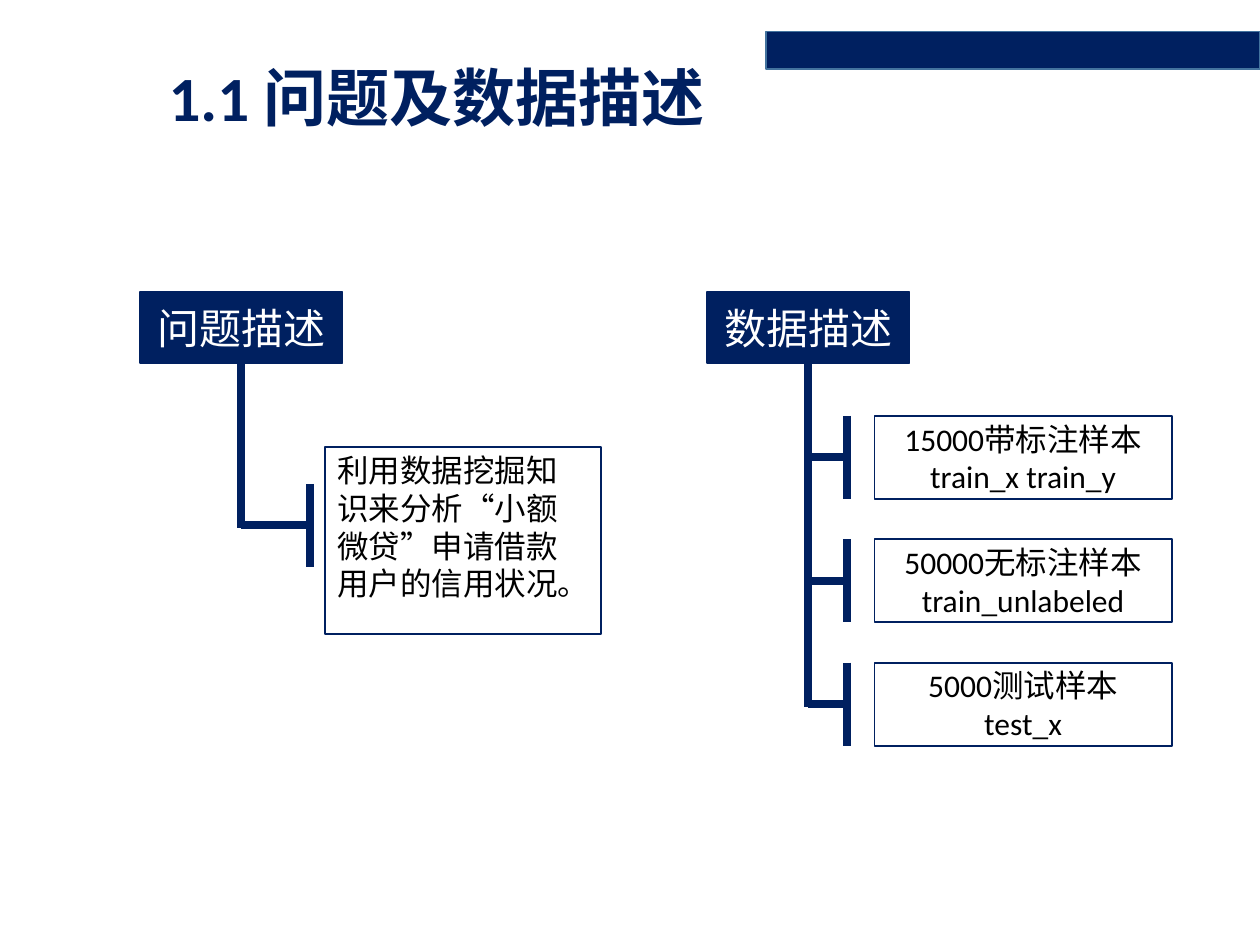
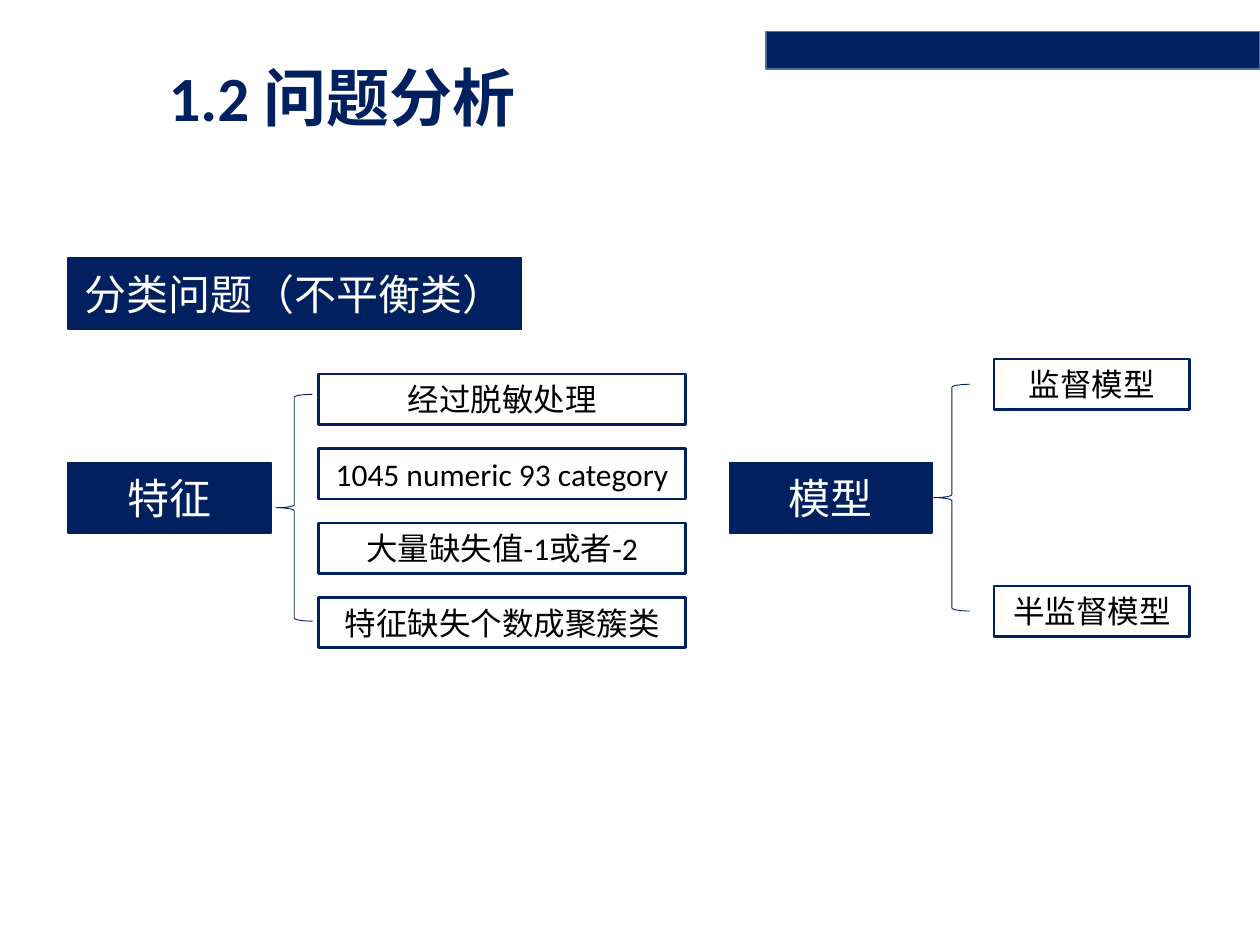
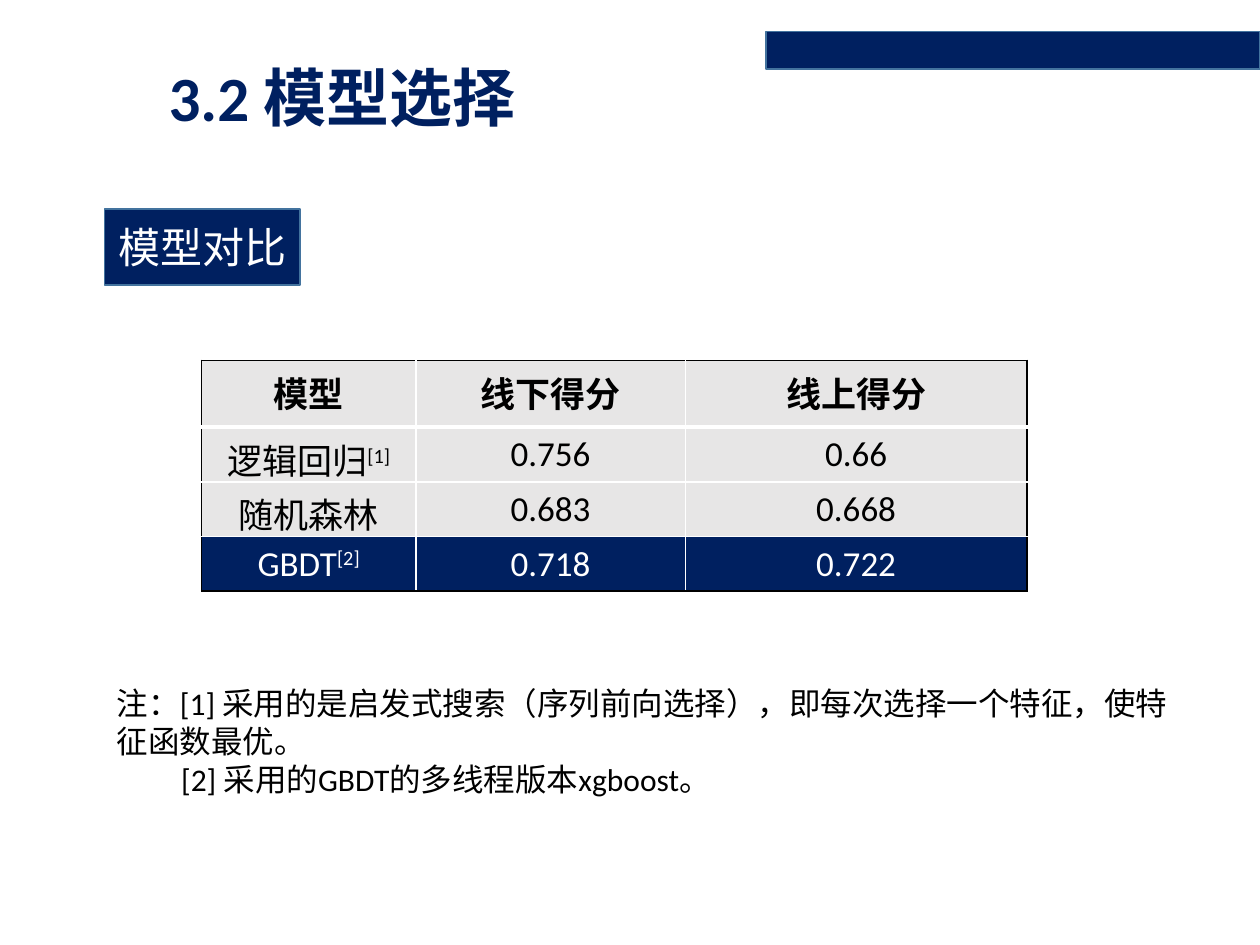
import pptx
import pptx.util
import pptx.dml.color
import pptx.enum.shapes
import pptx.enum.text
import pptx.oxml
import pptx.oxml.ns

Inches, Pt = pptx.util.Inches, pptx.util.Pt
RGBColor = pptx.dml.color.RGBColor
SHAPE = pptx.enum.shapes.MSO_SHAPE
STRAIGHT = pptx.enum.shapes.MSO_CONNECTOR.STRAIGHT
ALIGN = pptx.enum.text.PP_ALIGN
ANCHOR = pptx.enum.text.MSO_ANCHOR

NAVY = RGBColor(0x00, 0x20, 0x60)
STEEL = RGBColor(0x43, 0x73, 0x9E)
GREY = RGBColor(0xE7, 0xE6, 0xE6)
WHITE = RGBColor(0xFF, 0xFF, 0xFF)
BLACK = RGBColor(0x00, 0x00, 0x00)

TITLE = {"size": Pt(36), "bold": True, "color": NAVY}
HEADER = {"size": Pt(24), "color": WHITE}
BODY = {"size": Pt(18), "color": BLACK}

HEADER_W, HEADER_H = 1.61, 0.56
TICK_HALF = 0.33


def add_run(p, text, style):
    r = p.add_run()
    r.text = text
    r.font.name = "Calibri"
    for key, value in style.items():
        if key == "color":
            r.font.color.rgb = value
        else:
            setattr(r.font, key, value)
    return r


def write(tf, text, style, align=ALIGN.CENTER, **frame):
    """Fill a text frame, one paragraph for each line of text."""
    settings = {"word_wrap": True, "vertical_anchor": ANCHOR.MIDDLE, **frame}
    for key, value in settings.items():
        setattr(tf, key, value)
    for i, line in enumerate(text.split("\n")):
        p = tf.add_paragraph() if i else tf.paragraphs[0]
        p.alignment = align
        add_run(p, line, style)


def add_box(s, x, y, w, h, fill=WHITE, line=NAVY, width=1, kind=SHAPE.RECTANGLE):
    sp = s.shapes.add_shape(kind, Inches(x), Inches(y), Inches(w), Inches(h))
    sp.shadow.inherit = False
    sp.fill.solid()
    sp.fill.fore_color.rgb = fill
    sp.line.color.rgb = line
    sp.line.width = Pt(width)
    return sp


def add_header(s, x, y, text, w=HEADER_W, h=HEADER_H, line=NAVY):
    sp = add_box(s, x, y, w, h, NAVY, line)
    write(sp.text_frame, text, HEADER)
    return sp


def add_rule(s, x1, y1, x2, y2):
    c = s.shapes.add_connector(STRAIGHT, Inches(x1), Inches(y1), Inches(x2), Inches(y2))
    c.line.color.rgb = NAVY
    c.line.width = Pt(4.5)
    pr = c._element.spPr
    pr.append(pptx.oxml.parse_xml(f'<a:effectLst {pptx.oxml.ns.nsdecls("a")}/>'))
    return c


def add_text(s, x, y, w, h):
    return s.shapes.add_textbox(Inches(x), Inches(y), Inches(w), Inches(h)).text_frame


def add_master_band(prs, s):
    """Draw the top band and hand it to the master, so every slide shows it."""
    sp = add_box(s, 6.08, 0.25, 3.92, 0.3, NAVY, STEEL)
    sp._element.nvSpPr.cNvPr.set("id", "50")
    prs.slide_master.shapes._spTree.append(sp._element)


def add_titled_slide(prs, title):
    s = prs.slides.add_slide(prs.slide_layouts[6])
    tf = add_text(s, 1.24, 0.51, 4.64, 0.59)
    write(tf, title, TITLE, ALIGN.LEFT)
    tf.paragraphs[0].line_spacing = 0.9
    return s


def add_branches(s, x, y, text, tick_x, branch_ys):
    """Header with a trunk below it and a ticked branch at each height."""
    header = add_header(s, x, y, text)
    trunk_x = x + HEADER_W / 2
    trunk = add_rule(s, trunk_x, y + HEADER_H, trunk_x, branch_ys[-1] + 0.02)
    trunk.begin_connect(header, 2)
    for by in branch_ys:
        add_rule(s, trunk_x, by, tick_x, by)
        add_rule(s, tick_x, by - TICK_HALF, tick_x, by + TICK_HALF)


def add_brace_group(s, x, y, text, brace, items, item_box, pitch):
    """Header, a left brace and a column of evenly spaced items."""
    add_header(s, x, y, text)
    add_box(s, *brace, 0.29, 1.8, width=0.5, kind=SHAPE.LEFT_BRACE)
    left, top, w = item_box
    insets = {"margin_left": Inches(0.07), "margin_right": Inches(0.07),
              "margin_top": Inches(0.04), "margin_bottom": Inches(0.04)}
    for i, item in enumerate(items):
        sp = add_box(s, left, top + i * pitch, w, 0.4, width=1.5)
        write(sp.text_frame, item, BODY, **insets)


def set_borders(cell, borders):
    """Set cell borders from a dict of side (L, R, T, B) to (colour, points)."""
    pr = cell._tc.get_or_add_tcPr()
    for side, (color, width) in borders.items():
        pr.append(pptx.oxml.parse_xml(
            f'<a:ln{side} {pptx.oxml.ns.nsdecls("a")} w="{Pt(width)}">'
            f'<a:solidFill><a:srgbClr val="{color}"/></a:solidFill></a:ln{side}>'))


def add_score_table(s, x, y, widths, heights, rows):
    """Each cell is its text, or a pair of text and superscript mark."""
    last_row, last_col = len(rows) - 1, len(widths) - 1
    table = s.shapes.add_table(len(rows), len(widths), Inches(x), Inches(y),
                               Inches(sum(widths)), Inches(sum(heights))).table
    for col, w in zip(table.columns, widths):
        col.width = Inches(w)
    for i, (row, h) in enumerate(zip(rows, heights)):
        table.rows[i].height = Inches(h)
        best = i == last_row
        style = {"size": Pt(20), "bold": i == 0, "color": WHITE if best else BLACK}
        for j, content in enumerate(row):
            cell = table.cell(i, j)
            set_borders(cell, {
                "L": (WHITE if j else BLACK, 1),
                "R": (BLACK if j == last_col else WHITE, 1),
                "T": (WHITE if i else BLACK, 3 if i == 1 else 1),
                "B": (BLACK if best else WHITE, 1 if i else 3)})
            cell.fill.solid()
            cell.fill.fore_color.rgb = NAVY if best else GREY
            text, mark = content if isinstance(content, tuple) else (content, "")
            p = cell.text_frame.paragraphs[0]
            p.alignment = ALIGN.CENTER
            add_run(p, text, style)
            if mark:
                add_run(p, mark, style).font._element.set("baseline", "30000")


def build_description(prs):
    s = add_titled_slide(prs, "1.1 问题及数据描述")
    add_branches(s, 1.11, 2.32, "问题描述", 2.46, [4.17])
    sp = add_box(s, 2.58, 3.55, 2.19, 1.48)
    write(sp.text_frame, "利用数据挖掘知识来分析“小额微贷”申请借款用户的信用状况。", BODY,
          ALIGN.LEFT, vertical_anchor=ANCHOR.TOP, margin_top=Inches(0.03))

    samples = ["15000带标注样本 train_x train_y", "50000无标注样本 train_unlabeled",
               "5000测试样本\ntest_x"]
    ys = [3.63 + 0.98 * i for i in range(len(samples))]
    add_branches(s, 5.61, 2.32, "数据描述", 6.72, ys)
    for y, sample in zip(ys, samples):
        sp = add_box(s, 6.94, y - TICK_HALF, 2.36, 2 * TICK_HALF)
        write(sp.text_frame, sample, BODY)


def build_analysis(prs):
    s = add_titled_slide(prs, "1.2 问题分析")
    add_header(s, 0.54, 2.05, "分类问题（不平衡类）", w=3.6)
    add_brace_group(s, 0.54, 3.67, "特征", (2.19, 3.13),
                    ["经过脱敏处理", "1045 numeric 93 category",
                     "大量缺失值-1或者-2", "特征缺失个数成聚簇类"],
                    (2.53, 2.97, 2.91), 0.59)
    add_brace_group(s, 5.79, 3.67, "模型", (7.41, 3.05),
                    ["监督模型", "半监督模型"], (7.89, 2.85, 1.55), 1.8)


def build_selection(prs):
    s = add_titled_slide(prs, "3.2 模型选择")
    add_score_table(s, 1.6, 2.86, [1.7, 2.14, 2.71], [0.53, 0.41, 0.41, 0.41], [
        ["模型", "线下得分", "线上得分"],
        [("逻辑回归", "[1]"), "0.756", "0.66"],
        ["随机森林", "0.683", "0.668"],
        [("GBDT", "[2]"), "0.718", "0.722"]])
    add_header(s, 0.83, 1.66, "模型对比", 1.55, 0.6, STEEL)
    tf = add_text(s, 0.83, 5.38, 8.64, 1.01)
    write(tf, "注：[1] 采用的是启发式搜索（序列前向选择），即每次选择一个特征，使特征函数最优。\n"
              "[2] 采用的GBDT的多线程版本xgboost。", BODY, ALIGN.LEFT,
          vertical_anchor=ANCHOR.TOP)
    tf.paragraphs[1]._p.get_or_add_pPr().set("marL", str(Inches(0.51)))


def main():
    prs = pptx.Presentation()
    prs.slide_width, prs.slide_height = Inches(10), Inches(7.5)
    for build in (build_description, build_analysis, build_selection):
        build(prs)
    add_master_band(prs, prs.slides[0])
    prs.save("out.pptx")


if __name__ == "__main__":
    main()
